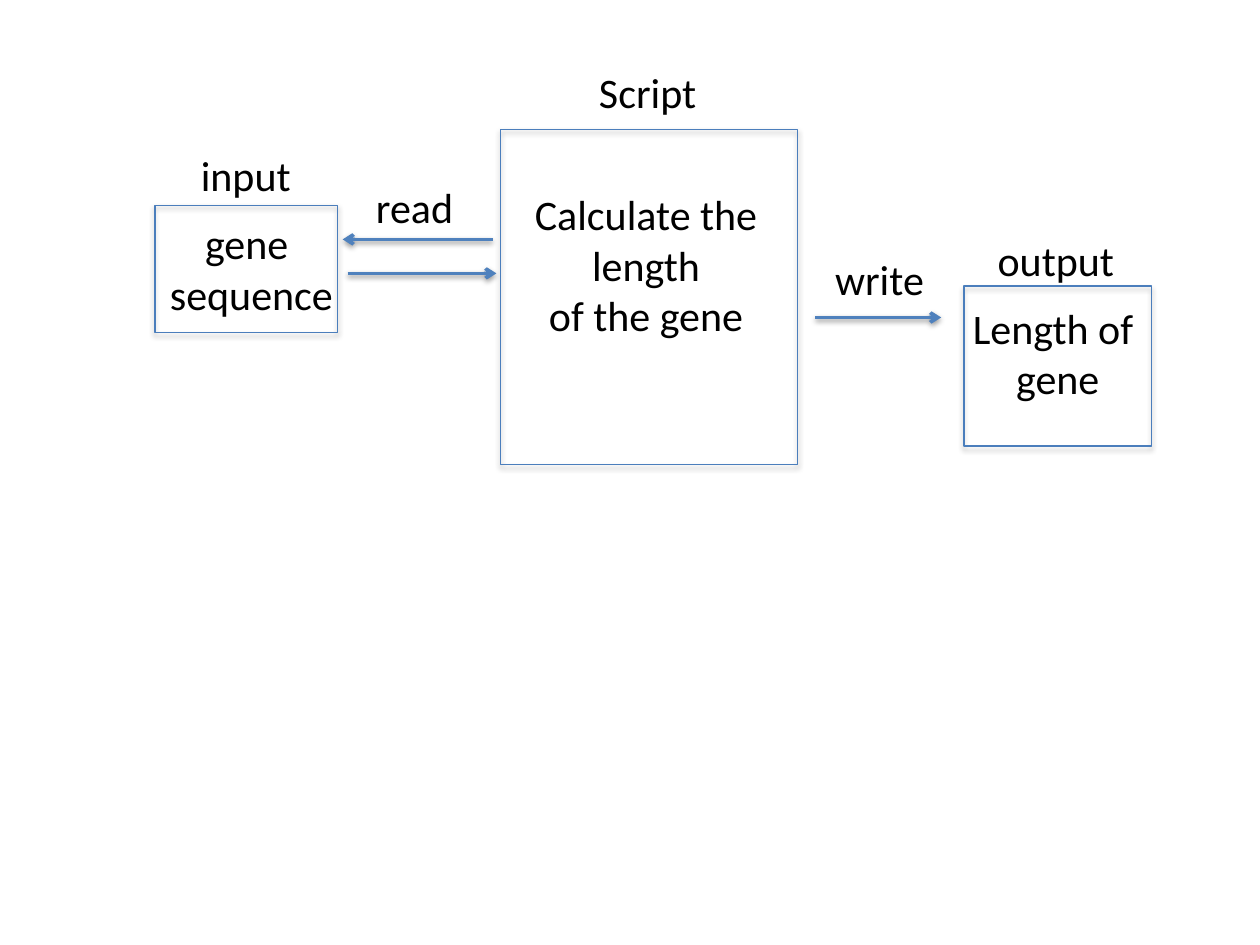
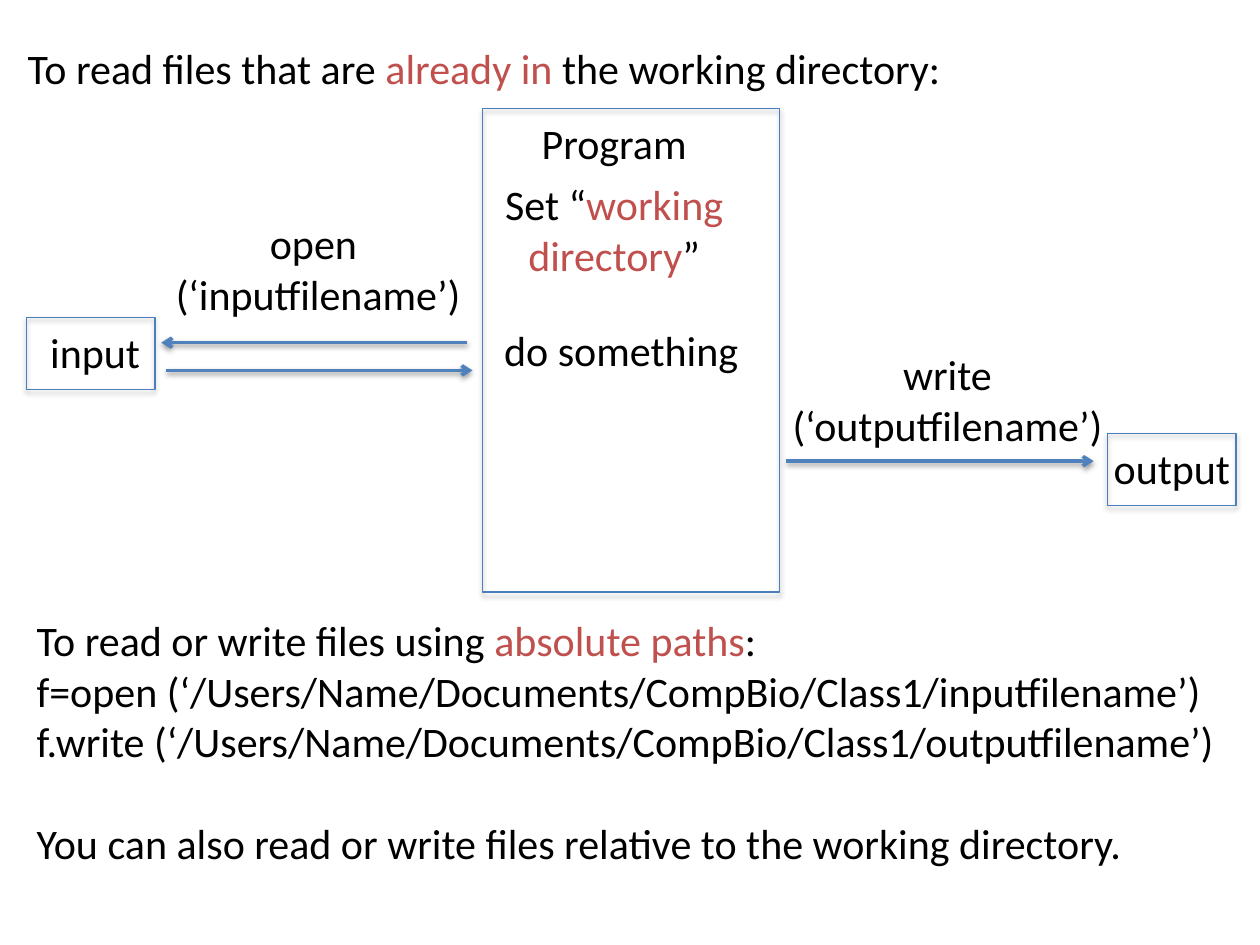
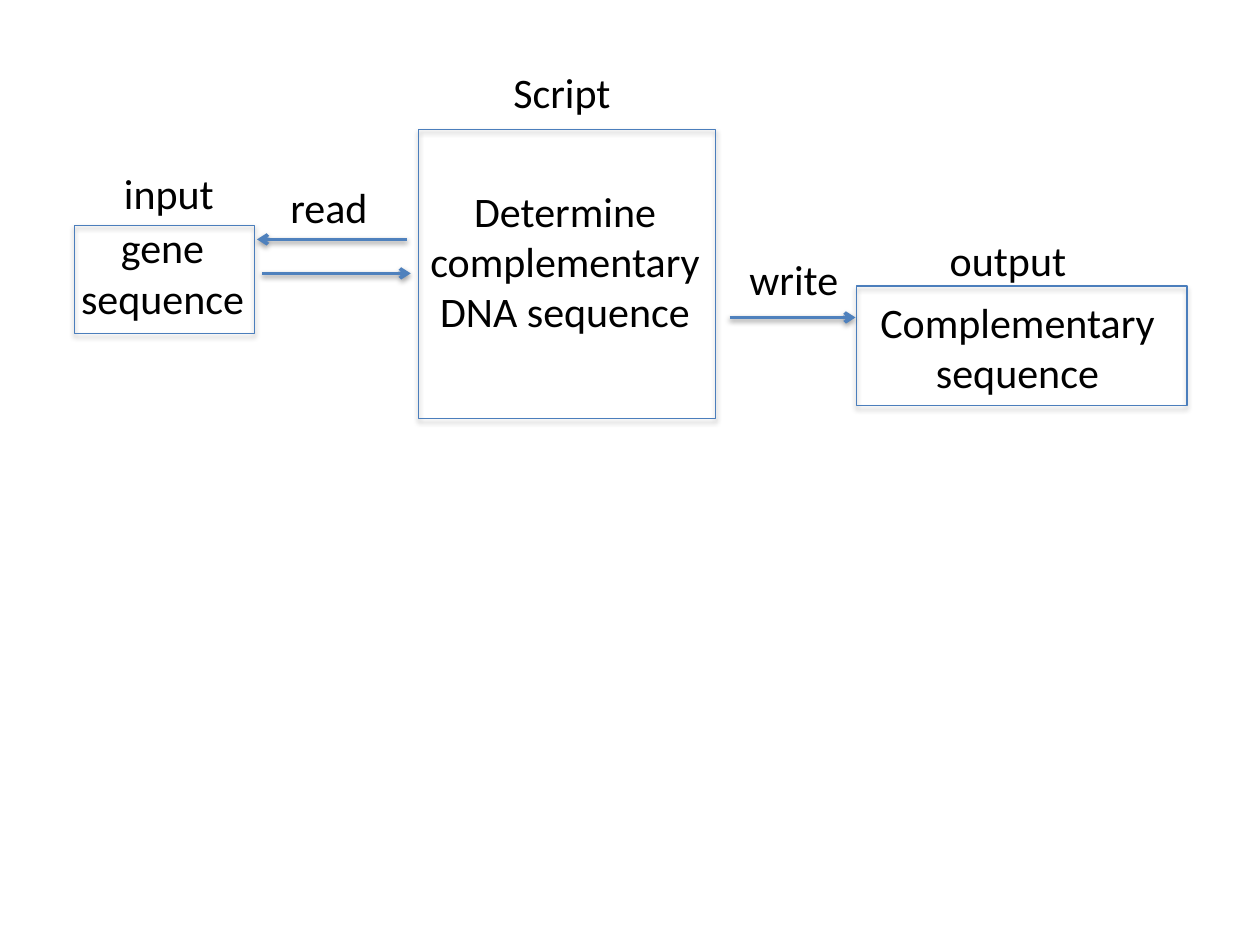
"""Builds three slides on how a script reads its input and writes its output."""
import pptx
import pptx.dml.color
import pptx.enum.shapes
import pptx.enum.text
import pptx.oxml
import pptx.oxml.ns
import pptx.util

FONT = "Calibri"
TEXT_SIZE = pptx.util.Pt(24)
TEXT, ACCENT, OUTLINE, ARROW = "000000", "C0504D", "4B7EBC", "4F81BD"
CENTER = pptx.enum.text.PP_ALIGN.CENTER
LEFT = pptx.enum.text.PP_ALIGN.LEFT
SHADOW = (
    '<a:effectLst {}><a:outerShdw blurRad="39400" dist="{}" dir="5400000" rotWithShape="0">'
    '<a:srgbClr val="000000"><a:alpha val="{}000"/></a:srgbClr></a:outerShdw></a:effectLst>'
)
ARROWHEAD = '<a:tailEnd {} type="arrow"/>'
NAMESPACE = pptx.oxml.ns.nsdecls("a")


def style_line(shape, color, width, shadow_distance, shadow_alpha):
    """Give a shape its line and the soft shadow below it."""
    shape.line.color.rgb = pptx.dml.color.RGBColor.from_string(color)
    shape.line.width = pptx.util.Pt(width)
    shadow = SHADOW.format(NAMESPACE, shadow_distance, shadow_alpha)
    shape._element.spPr.append(pptx.oxml.parse_xml(shadow))


def write_text(shape, lines, alignment):
    """Write lines into a shape; parts between bars take the accent colour."""
    frame = shape.text_frame
    frame.word_wrap = True
    frame.auto_size = pptx.enum.text.MSO_AUTO_SIZE.NONE
    frame.vertical_anchor = pptx.enum.text.MSO_ANCHOR.TOP
    frame.margin_left = frame.margin_right = pptx.util.Inches(0.05)
    for number, line in enumerate(lines):
        paragraph = frame.add_paragraph() if number else frame.paragraphs[0]
        paragraph.alignment = alignment
        paragraph.font.name = FONT
        paragraph.font.size = TEXT_SIZE
        paragraph.font.color.rgb = pptx.dml.color.RGBColor.from_string(TEXT)
        for position, part in enumerate(line.split("|")):
            run = paragraph.add_run()
            run.text = part
            if position % 2:
                run.font.color.rgb = pptx.dml.color.RGBColor.from_string(ACCENT)


presentation = pptx.Presentation()
presentation.slide_width = pptx.util.Inches(10)
presentation.slide_height = pptx.util.Inches(7.5)
CELL = presentation.slide_width / 100
LINE_ROWS = 4.1

# Boxes: column, row, columns, rows. Arrows: tail column, tip column, row.
# Labels: column, row, columns, alignment, lines.
gene_arrows = [(39.1, 27.2, 19), (27.6, 39.4, 21.7), (64.7, 74.7, 25.2)]
gene_labels = [
    (46.5, 4.8, 9.8, CENTER, ["Script"]),
    (28.8, 13.9, 8.2, CENTER, ["read"]),
    (65.2, 19.6, 9.2, CENTER, ["write"]),
]
SHIFT = 6.8

slides = [
    {
        "boxes": [(39.7, 10.3, 23.6, 26.6), (12.3, 16.3, 14.5, 10.1), (76.5, 22.7, 14.9, 12.7)],
        "arrows": gene_arrows,
        "labels": gene_labels + [
            (14.9, 11.4, 9.2, CENTER, ["input"]),
            (12.4, 16.8, 15.1, CENTER, ["gene ", "sequence"]),
            (41.6, 14.5, 20.1, CENTER, ["Calculate the ", "length ", "of the gene "]),
            (78.1, 18.1, 11.4, CENTER, ["output"]),
            (76.5, 23.5, 14.9, CENTER, ["Length of ", "gene"]),
        ],
    },
    {
        "title": (1.7, 2.9, 76.5, LEFT, ["To read files that are |already in |the working directory:"]),
        "boxes": [(38.3, 8.6, 23.6, 38.4), (2.1, 25.2, 10.2, 5.7), (87.9, 34.4, 10.2, 5.7)],
        "arrows": [(37.1, 12.8, 27.2), (13.2, 37.5, 29.4), (62.4, 86.8, 36.6)],
        "labels": [
            (35.1, 8.8, 27.3, CENTER, ["Program"]),
            (35.1, 13.7, 27.3, CENTER, ["Set “|working directory|”"]),
            (38.9, 25.3, 20.8, CENTER, ["do something"]),
            (3, 25.4, 9.1, CENTER, ["input"]),
            (87.4, 34.6, 11.2, CENTER, ["output"]),
            (12.8, 16.8, 24.9, CENTER, ["open ", "(‘inputfilename’)"]),
            (61.7, 27.2, 27, CENTER, ["write", "(‘outputfilename’)"]),
            (2.4, 48.3, 96, LEFT, [
                "To read or write files using |absolute paths|:",
                "f=open (‘/Users/Name/Documents/CompBio/Class1/inputfilename’)",
                "f.write (‘/Users/Name/Documents/CompBio/Class1/outputfilename’)",
            ]),
            (2.4, 64.4, 96, LEFT, ["You can also read or write files relative to the working directory."]),
        ],
    },
    {
        "boxes": [(33.2, 10.3, 23.6, 22.9), (5.9, 17.9, 14.3, 8.6), (68, 22.7, 26.2, 9.5)],
        "arrows": [(tail - SHIFT, tip - SHIFT, row) for tail, tip, row in gene_arrows],
        "labels": [(column - SHIFT, *rest) for column, *rest in gene_labels] + [
            (8.8, 12.8, 9.2, CENTER, ["input"]),
            (3.7, 17.1, 18.4, CENTER, ["gene sequence"]),
            (32, 14.2, 25.7, CENTER, ["Determine complementary DNA sequence"]),
            (74.3, 18.1, 11.4, CENTER, ["output"]),
            (66, 23, 29.5, CENTER, ["Complementary sequence"]),
        ],
    },
]

for content in slides:
    layout = presentation.slide_layouts[5 if "title" in content else 6]
    slide = presentation.slides.add_slide(layout)

    for box in content["boxes"]:
        shape = slide.shapes.add_shape(
            pptx.enum.shapes.MSO_SHAPE.RECTANGLE, *[int(length * CELL) for length in box])
        shape.fill.background()
        style_line(shape, OUTLINE, 0.75, 23000, 35)

    for tail, tip, row in content["arrows"]:
        arrow = slide.shapes.add_connector(
            pptx.enum.shapes.MSO_CONNECTOR.STRAIGHT,
            *[int(length * CELL) for length in (tail, row, tip, row)])
        style_line(arrow, ARROW, 2, 20000, 38)
        arrow.line._get_or_add_ln().append(pptx.oxml.parse_xml(ARROWHEAD.format(NAMESPACE)))

    for column, row, columns, alignment, lines in content["labels"]:
        place = (column, row, columns, LINE_ROWS * len(lines) + 1)
        label = slide.shapes.add_textbox(*[int(length * CELL) for length in place])
        write_text(label, lines, alignment)

    if "title" in content:
        column, row, columns, alignment, lines = content["title"]
        title = slide.shapes.title
        title.left, title.top = int(column * CELL), int(row * CELL)
        title.width, title.height = int(columns * CELL), int((LINE_ROWS + 1) * CELL)
        write_text(title, lines, alignment)

presentation.save("out.pptx")
